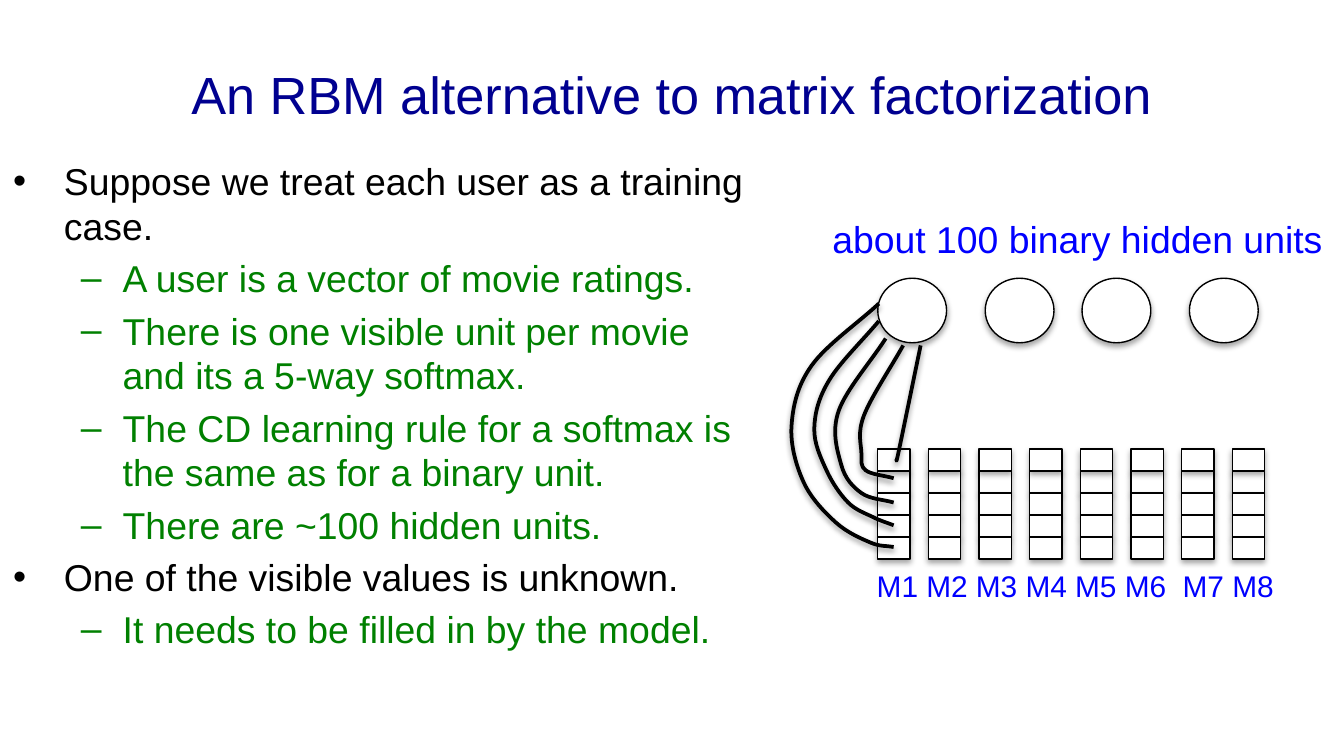
from lxml import etree
from pptx import Presentation
from pptx import util as u
from pptx.dml.color import RGBColor
from pptx.enum import shapes, text
from pptx.oxml.ns import qn

BLACK, WHITE, NAVY, BLUE, GREEN = "000000", "FFFFFF", "000090", "0000FF", "008000"

POINTS = [
    (0, "Suppose we treat each user as a training case."),
    (1, "A user is a vector of movie ratings."),
    (1, "There is one visible unit per movie and its a 5-way softmax."),
    (1, "The CD learning rule for a softmax is the same as for a binary unit."),
    (1, "There are ~100 hidden units."),
    (0, "One of the visible values is unknown."),
    (1, "It needs to be filled in by the model."),
]
LEVELS = [("•", BLACK, 0.96, -0.96), ("–", GREEN, 2.07, -0.79)]

WEIGHTS = [
    [(2.44, 1.27), (2.03, 3.25), (1.98, 3.42)],
    [(2.11, 1.27), (1.37, 2.59), (1.32, 3.3), (1.4, 3.63), (1.93, 3.78)],
    [(1.78, 1.14), (0.89, 2.51), (0.94, 3.53), (1.32, 4.06), (1.93, 4.24)],
    [(1.65, 0.81), (0.71, 1.93), (0.43, 2.84), (0.66, 3.63), (1.07, 4.24),
     (1.55, 4.52), (1.93, 4.67)],
    [(1.65, 0.48), (0.38, 1.65), (0, 2.79), (0.23, 3.86), (0.84, 4.62),
     (1.5, 5), (1.93, 5.08)],
]


def color(value):
    return RGBColor.from_string(value)


def add_run(paragraph, words, size, value):
    run = paragraph.add_run()
    run.text = words
    run.font.name = "Arial"
    run.font.size = u.Pt(size)
    run.font.color.rgb = color(value)


def add_text_box(slide, box):
    shape = slide.shapes.add_textbox(*(u.Cm(length) for length in box))
    shape.text_frame.word_wrap = True
    return shape.text_frame


def add_shadow(shape, opacity):
    shape.shadow.inherit = False
    effects = shape._element.spPr.find(qn("a:effectLst"))
    shadow = etree.SubElement(effects, qn("a:outerShdw"), blurRad=str(u.Pt(3.1)),
                              dist=str(u.Pt(1.8)), dir="5400000", rotWithShape="0")
    tint = etree.SubElement(shadow, qn("a:srgbClr"), val=BLACK)
    etree.SubElement(tint, qn("a:alpha"), val=str(opacity * 1000))


def add_unit(slide, kind, box):
    shape = slide.shapes.add_shape(kind, *(u.Cm(length) for length in box))
    shape.fill.solid()
    shape.fill.fore_color.rgb = color(WHITE)
    shape.line.color.rgb = color(BLACK)
    shape.line.width = u.Pt(0.75)
    add_shadow(shape, 35)


def bend_segments(shape, anchors):
    def extend(end, inner):
        return tuple(2 * a - b for a, b in zip(end, inner))

    knots = [extend(anchors[0], anchors[1]), *anchors, extend(anchors[-1], anchors[-2])]
    segments = list(shape._element.spPr.iter(qn("a:lnTo")))
    for segment, before, start, end, after in zip(
            segments, knots, knots[1:], knots[2:], knots[3:]):
        leaving = [b + (c - a) / 6 for a, b, c in zip(before, start, end)]
        arriving = [b - (c - a) / 6 for a, b, c in zip(start, end, after)]
        bend = etree.Element(qn("a:cubicBezTo"))
        for x, y in (leaving, arriving, end):
            etree.SubElement(bend, qn("a:pt"), x=str(round(x - shape.left)),
                             y=str(round(y - shape.top)))
        segment.getparent().replace(segment, bend)


def add_title(slide, box):
    frame = add_text_box(slide, box)
    frame.vertical_anchor = text.MSO_ANCHOR.MIDDLE
    paragraph = frame.paragraphs[0]
    paragraph.alignment = text.PP_ALIGN.CENTER
    add_run(paragraph, "An RBM alternative to matrix factorization", 28, NAVY)


def add_bullets(slide, box):
    frame = add_text_box(slide, box)
    for index, (level, words) in enumerate(POINTS):
        paragraph = frame.add_paragraph() if index else frame.paragraphs[0]
        bullet, value, margin, indent = LEVELS[level]
        paragraph.level = level
        paragraph.space_before = u.Pt(4)
        properties = paragraph._p.get_or_add_pPr()
        properties.set("marL", str(u.Cm(margin)))
        properties.set("indent", str(u.Cm(indent)))
        etree.SubElement(properties, qn("a:buFont"), typeface="Arial")
        etree.SubElement(properties, qn("a:buChar"), char=bullet)
        add_run(paragraph, words, 20, value)


def add_visible_units(slide, box):
    left, top, width, height = box
    cell_width, cell_height = 0.61, height / 5
    pitch = (width - cell_width) / 7
    for column in range(8):
        for row in (1, 2, 3, 4, 0):
            add_unit(slide, shapes.MSO_SHAPE.RECTANGLE,
                     (left + column * pitch, top + row * cell_height,
                      cell_width, cell_height))


def add_hidden_units(slide, left, top):
    for offset in (0, 2.03, 3.86, 5.89):
        add_unit(slide, shapes.MSO_SHAPE.OVAL, (left + offset, top, 1.3, 1.22))


def add_weights(slide, left, top):
    for weight in WEIGHTS:
        anchors = [(u.Cm(left + x), u.Cm(top + y)) for x, y in weight]
        builder = slide.shapes.build_freeform(*anchors[0])
        builder.add_line_segments(anchors[1:], close=False)
        shape = builder.convert_to_shape()
        bend_segments(shape, anchors)
        shape.fill.background()
        shape.line.color.rgb = color(BLACK)
        shape.line.width = u.Pt(2)
        add_shadow(shape, 38)


def add_network(slide, box):
    left, top, width, height = box
    add_visible_units(slide, (left + 1.63, top + 3.23, 7.31, 2.08))
    add_hidden_units(slide, left + 1.63, top)
    add_weights(slide, left, top)
    movies = add_text_box(slide, (left + 1.36, top + height, width - 1.36, 0.95))
    add_run(movies.paragraphs[0], "M1 M2 M3 M4 M5 M6  M7 M8", 16, BLUE)
    caption = add_text_box(slide, (left + 0.52, top - 1.3, width, 1.12))
    add_run(caption.paragraphs[0], "about 100 binary hidden units", 20, BLUE)


def main():
    presentation = Presentation()
    presentation.slide_width = u.Cm(25.4)
    presentation.slide_height = u.Cm(14.29)
    slide = presentation.slides.add_slide(presentation.slide_layouts[6])
    add_title(slide, (1.26, 0.58, 22.86, 2.39))
    add_bullets(slide, (0, 2.87, 14.58, 9.42))
    add_network(slide, (14.96, 5.26, 9.98, 5.34))
    presentation.save("out.pptx")


if __name__ == "__main__":
    main()
